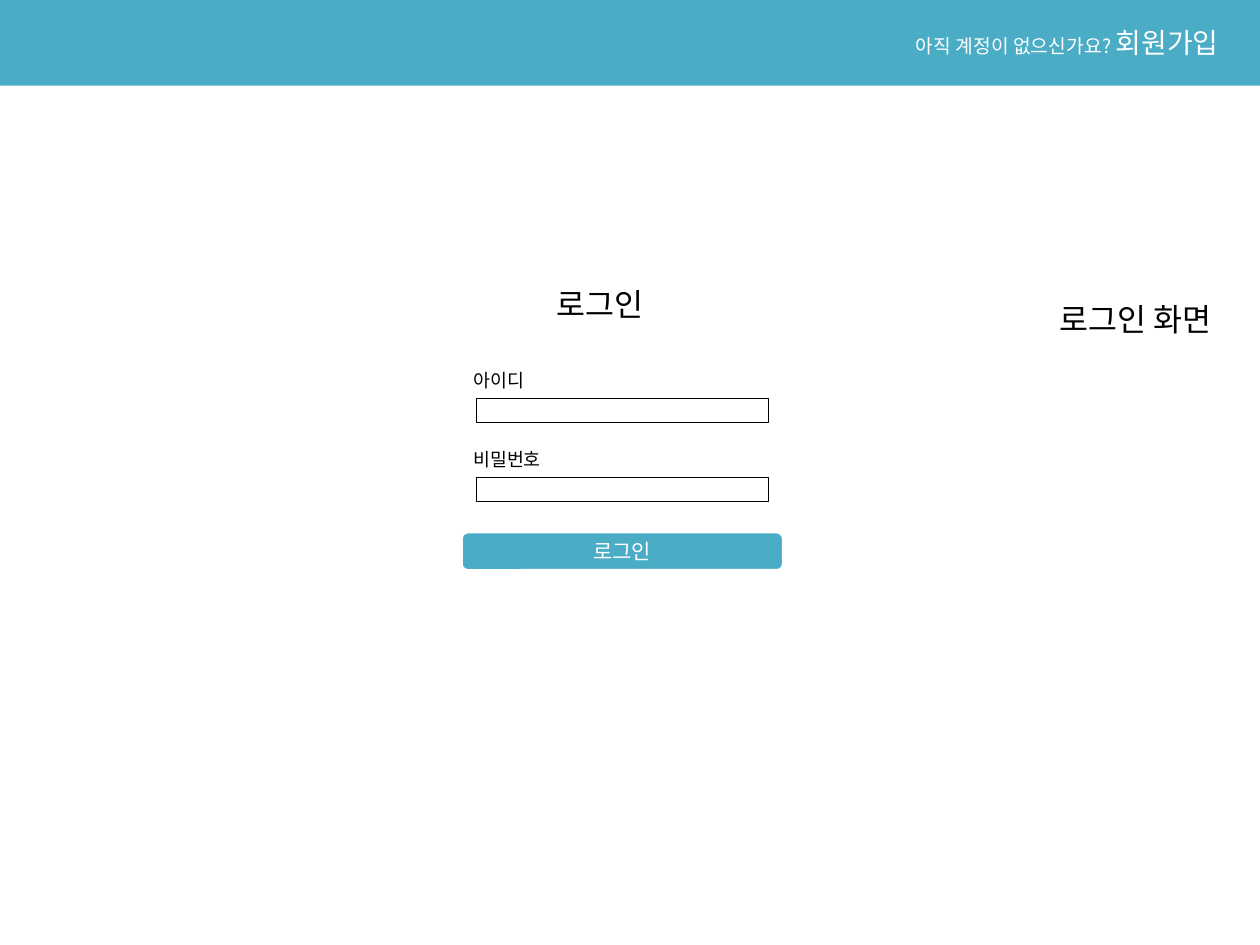
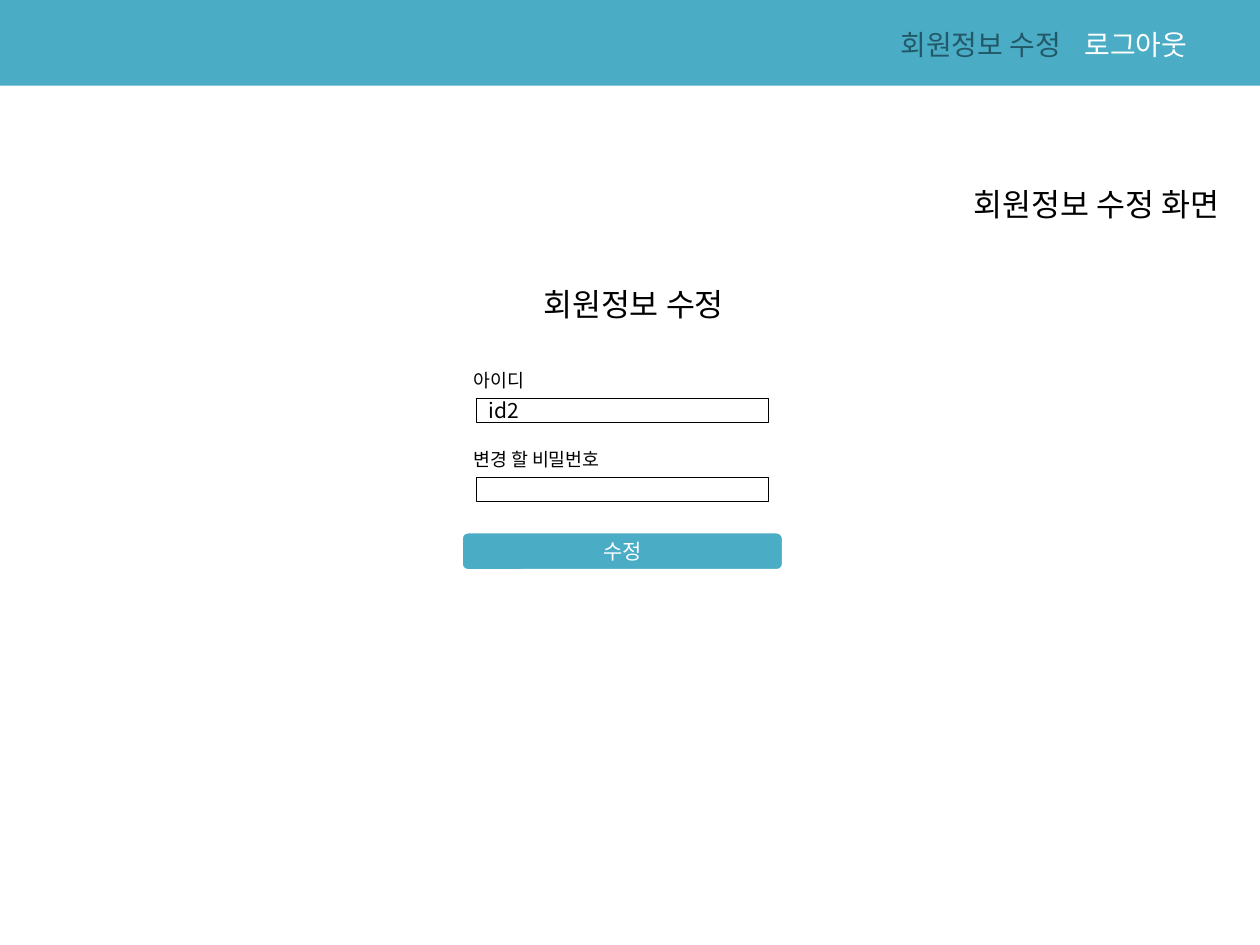
"""Build the login and profile edit screens of a web service mock-up."""
import pptx
import pptx.dml.color
import pptx.enum.shapes
import pptx.enum.text
import pptx.oxml.ns
import pptx.util
from lxml import etree

Inches = pptx.util.Inches
RGBColor = pptx.dml.color.RGBColor
Shape = pptx.enum.shapes.MSO_SHAPE
Align = pptx.enum.text.PP_ALIGN
Anchor = pptx.enum.text.MSO_ANCHOR
AutoSize = pptx.enum.text.MSO_AUTO_SIZE
qn = pptx.oxml.ns.qn

TEAL = RGBColor(0x4B, 0xAC, 0xC6)
DARK_TEAL = RGBColor(0x21, 0x59, 0x68)
WHITE = RGBColor(0xFF, 0xFF, 0xFF)
BLACK = RGBColor(0, 0, 0)
FONT = "Noto Sans CJK KR"

SCREENS = [
    {
        "menu": [("아직 계정이 없으신가요? ", 11, WHITE), ("회원가입", 16, WHITE)],
        "menu_at": (7.17, 0.15, 2.83, 0.37),
        "heading": "로그인",
        "heading_at": (4.32, 2.21, 1.57, 0.4),
        "fields": [("아이디", 0.79, ""), ("비밀번호", 0.79, "")],
        "button": "로그인",
        "caption": "로그인 화면",
        "caption_at": (8.31, 2.33, 1.55, 0.4),
    },
    {
        "menu": [("회원정보 수정\t", 16, DARK_TEAL), ("로그아웃", 16, WHITE)],
        "menu_at": (7.05, 0.17, 2.8, 0.37),
        "heading": "회원정보 수정",
        "heading_at": (4.21, 2.21, 1.79, 0.4),
        "fields": [("아이디", 0.79, "id2"), ("변경 할 비밀번호", 1.28, "")],
        "button": "수정",
        "caption": "회원정보 수정 화면",
        "caption_at": (7.63, 1.42, 2.4, 0.4),
    },
]
FORM_LEFT, FORM_TOP, FIELD_STEP = 3.66, 2.88, 0.63
MENU_TAB = 1.46


def write(box, spans, align=Align.LEFT, anchor=Anchor.TOP, wrap=True, grow=True):
    """Fill a shape with (text, size, colour) spans in one paragraph."""
    frame = box.text_frame
    frame.word_wrap = wrap
    frame.vertical_anchor = anchor
    frame.auto_size = AutoSize.SHAPE_TO_FIT_TEXT if grow else AutoSize.NONE
    para = frame.paragraphs[0]
    para.alignment = align
    for text, size, colour in spans:
        span = para.add_run()
        span.text = text
        span.font.size = pptx.util.Pt(size)
        span.font.name = FONT
        span.font.color.rgb = colour
        east_asian = etree.SubElement(span.font._element, qn("a:ea"))
        east_asian.set("typeface", FONT)
    return para


def add_text(page, at, spans, **formatting):
    box = page.shapes.add_textbox(*map(Inches, at))
    return write(box, spans, **formatting)


def add_block(page, kind, at, fill, line=None, width=0):
    block = page.shapes.add_shape(kind, *map(Inches, at))
    block.shadow.inherit = False
    block.fill.solid()
    block.fill.fore_color.rgb = fill
    if line is None:
        block.line.fill.background()
    else:
        block.line.color.rgb = line
        block.line.width = pptx.util.Pt(width)
    return block


def add_menu(page, at, spans):
    add_block(page, Shape.RECTANGLE, (0, 0, 10, 0.68), TEAL)
    para = add_text(page, at, spans)
    if any("\t" in text for text, size, colour in spans):
        stops = etree.SubElement(para._p.get_or_add_pPr(), qn("a:tabLst"))
        etree.SubElement(stops, qn("a:tab"), pos=str(Inches(MENU_TAB)), algn="l")


def add_field(page, top, label, label_width, value):
    add_text(page, (FORM_LEFT, top, label_width, 0.28), [(label, 10.5, BLACK)])
    entry = add_block(page, Shape.RECTANGLE, (FORM_LEFT + 0.12, top + 0.28, 2.32, 0.19),
                      WHITE, BLACK, 0.25)
    if value:
        write(entry, [(value, 12, BLACK)], anchor=Anchor.MIDDLE, grow=False)


def add_screen(deck, screen):
    page = deck.slides.add_slide(deck.slide_layouts[5])
    add_menu(page, screen["menu_at"], screen["menu"])
    title = page.shapes.title
    title.left, title.top, title.width, title.height = map(Inches, screen["heading_at"])
    write(title, [(screen["heading"], 18, BLACK)])
    for index, field in enumerate(screen["fields"]):
        add_field(page, FORM_TOP + index * FIELD_STEP, *field)
    button = add_block(page, Shape.ROUNDED_RECTANGLE, (FORM_LEFT, 4.22, 2.56, 0.31),
                       TEAL, WHITE, 2)
    write(button, [(screen["button"], 12, WHITE)], align=Align.CENTER,
          anchor=Anchor.MIDDLE, grow=False)
    add_text(page, screen["caption_at"], [(screen["caption"], 18, BLACK)], wrap=False)


deck = pptx.Presentation()
deck.slide_width, deck.slide_height = Inches(10), Inches(7.5)
for screen in SCREENS:
    add_screen(deck, screen)
deck.save("out.pptx")
